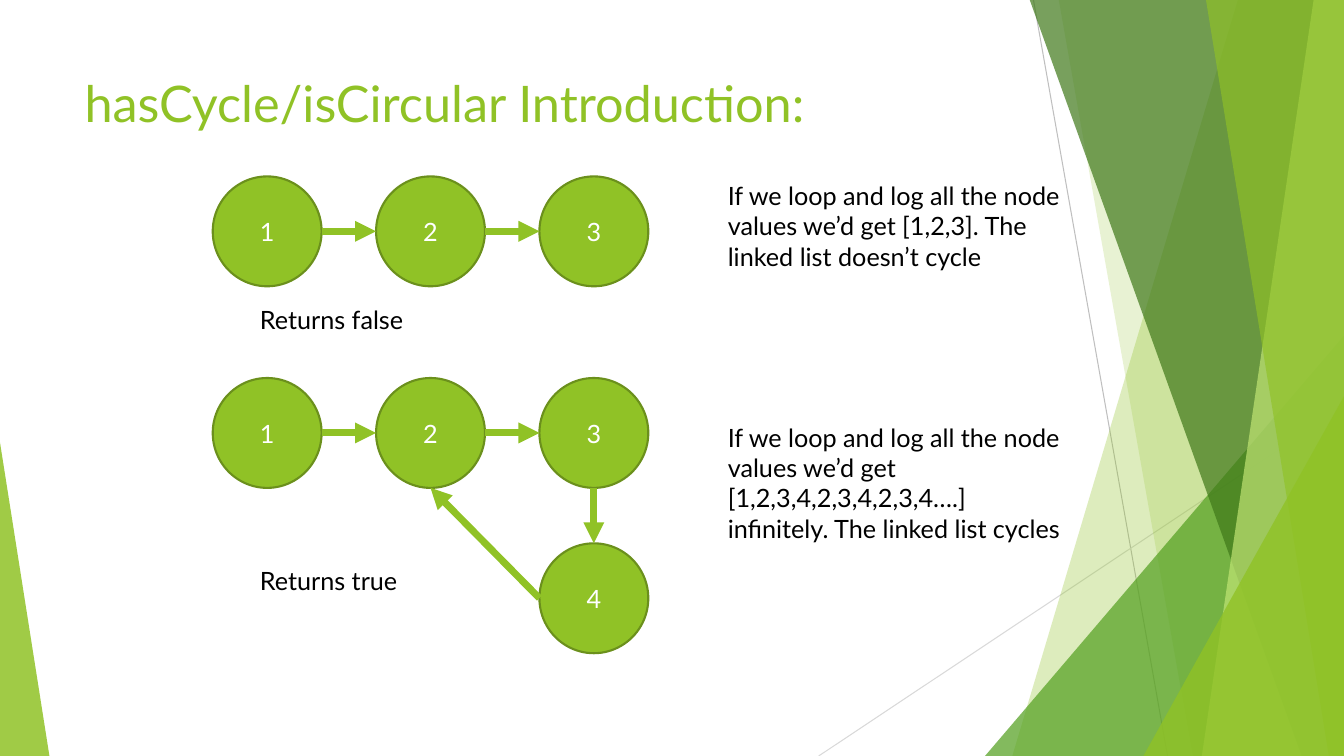
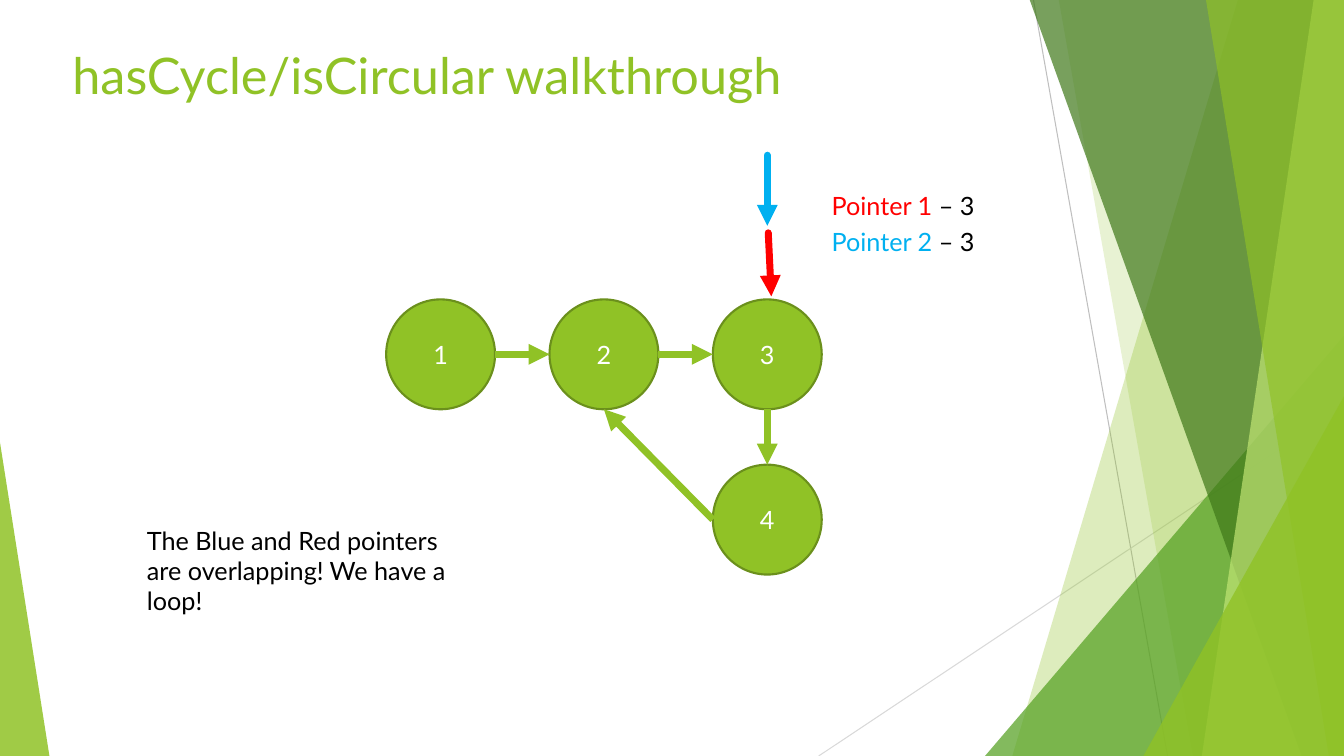
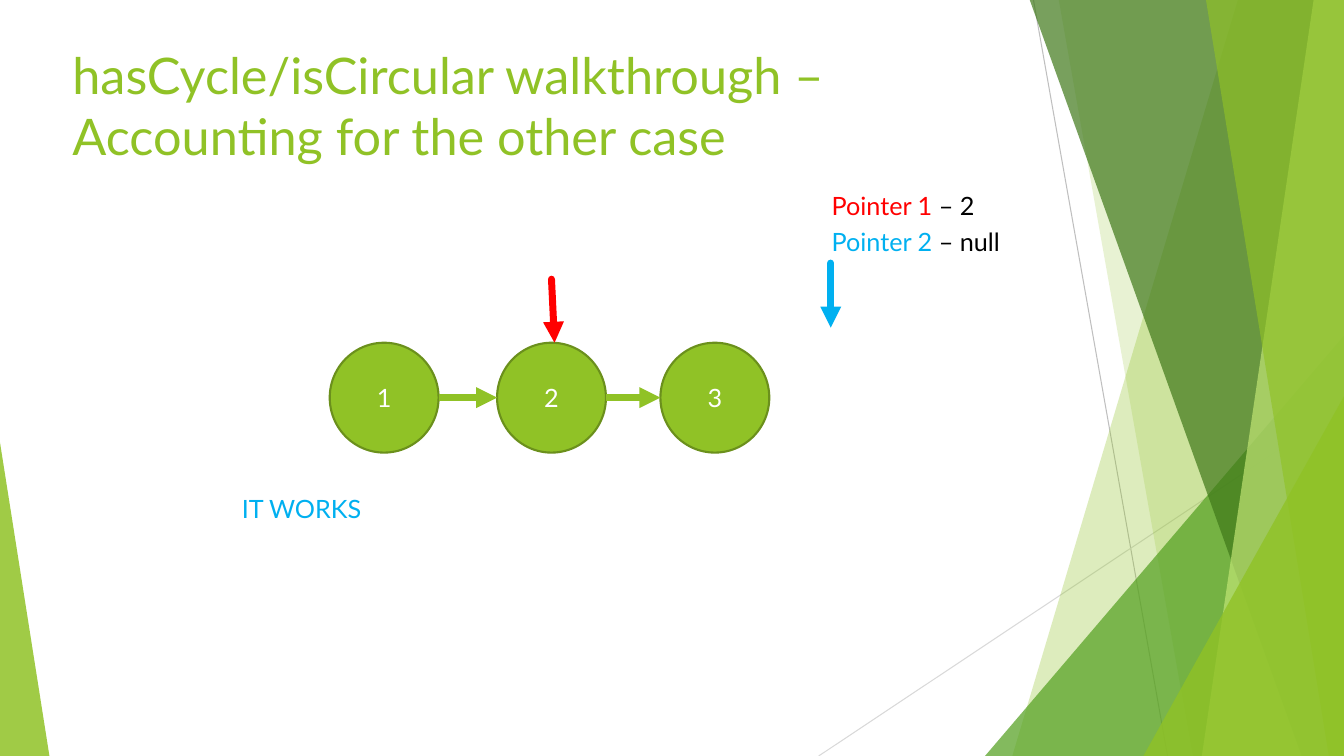
"""Build three slides on detecting a cycle in a linked list."""
from lxml.etree import SubElement
from pptx import Presentation
from pptx.dml.color import RGBColor
from pptx.enum.shapes import MSO_CONNECTOR as CONNECTOR, MSO_SHAPE as SHAPE
from pptx.enum.text import MSO_ANCHOR as ANCHOR, PP_ALIGN as ALIGN
from pptx.oxml.ns import qn
from pptx.util import Inches, Pt

GREEN = RGBColor(0x90, 0xC2, 0x26)
OUTLINE = RGBColor(0x6B, 0x90, 0x1C)
MID_GREEN = RGBColor(0x54, 0xA0, 0x21)
DARK_GREEN = RGBColor(0x3F, 0x78, 0x19)
PALE_GREEN = RGBColor(0xC0, 0xE4, 0x74)
GREY = RGBColor(0xBF, 0xBF, 0xBF)
LIGHT_GREY = RGBColor(0xD9, 0xD9, 0xD9)
RED = RGBColor(0xFF, 0x00, 0x00)
BLUE = RGBColor(0x00, 0xB0, 0xF0)
BLACK = RGBColor(0x00, 0x00, 0x00)
WHITE = RGBColor(0xFF, 0xFF, 0xFF)

WIDTH, HEIGHT, TOP = 13.33, 7.5, -0.01
NODE_W, NODE_H, ROW_STEP = 1.08, 1.09, 1.64

BAND, TRIANGLE = "band", "triangle"
PANELS = [
    (BAND, (12.28, 10.04), GREEN, 30),
    (BAND, (10.5, 11.83), GREEN, 20),
    (TRIANGLE, (9.77, 3.33, 3.56, 1), MID_GREEN, 72),
    (BAND, (10.21, 12.91), DARK_GREEN, 70),
    (BAND, (13.03, 11.92), PALE_GREEN, 70),
    (BAND, (11.96, 13.18), GREEN, 65),
    (TRIANGLE, (11.34, 3.93, 1.99, 1), GREEN, 80),
    (TRIANGLE, (0, 4.39, 0.49, 0), GREEN, 85),
]

SLIDES = [
    {
        "title": ("hasCycle/isCircular Introduction:", 0.74, 0.67),
        "chains": [((2.11, 3.73, 5.35), 3.75, True), ((2.11, 3.73, 5.35), 1.75, False)],
        "pointers": [],
        "notes": [
            (7.12, 4.14, 3.58, 1.62, [("If we loop and log all the node values we’d get [1,2,3,4,2,3,4,2,3,4….] infinitely. The linked list cycles", BLACK)]),
            (2.48, 5.56, 3.58, 0.4, [("Returns true", BLACK)]),
            (7.12, 1.74, 3.58, 1.01, [("If we loop and log all the node values we’d get [1,2,3]. The linked list doesn’t cycle", BLACK)]),
            (2.48, 2.97, 3.58, 0.4, [("Returns false", BLACK)]),
        ],
    },
    {
        "title": ("hasCycle/isCircular walkthrough", 0.62, 0.39),
        "chains": [((3.83, 5.45, 7.07), 2.97, True)],
        "pointers": [(7.62, 2.31, 7.65, 2.94, RED), (7.61, 1.54, 7.61, 2.24, BLUE)],
        "notes": [
            (8.15, 1.84, 2.59, 0.4, [("Pointer 1 ", RED), ("– 3", BLACK)]),
            (8.15, 2.2, 2.59, 0.4, [("Pointer 2 ", BLUE), ("– 3", BLACK)]),
            (1.36, 5.16, 3.36, 1.01, [("The Blue and Red pointers are overlapping! We have a loop!", BLACK)]),
        ],
    },
    {
        "title": ("hasCycle/isCircular walkthrough – Accounting for the other case", 0.62, 0.39),
        "chains": [((3.27, 4.93, 6.55), 3.4, False)],
        "pointers": [(5.47, 2.77, 5.5, 3.4, RED), (8.24, 2.61, 8.24, 3.25, BLUE)],
        "notes": [
            (8.15, 1.84, 2.59, 0.4, [("Pointer 1 ", RED), ("– 2", BLACK)]),
            (8.15, 2.2, 2.59, 0.4, [("Pointer 2 ", BLUE), ("– null", BLACK)]),
            (2.3, 4.84, 3.36, 0.4, [("IT WORKS", BLUE)]),
        ],
    },
]


def write(tf, text, size=18, color=BLACK, align=ALIGN.LEFT):
    p = tf.paragraphs[0]
    p.alignment = align
    r = p.add_run()
    r.text = text
    r.font.name = "Lato"
    r.font.size = Pt(size)
    r.font.color.rgb = color


def add_line(s, x1, y1, x2, y2, color=GREEN, width=5, arrow=True, cap="flat"):
    cxn = s.shapes.add_connector(CONNECTOR.STRAIGHT, Inches(x1), Inches(y1), Inches(x2), Inches(y2))
    cxn.line.color.rgb = color
    cxn.line.width = Pt(width)
    spPr = cxn._element.spPr
    ln = spPr.find(qn("a:ln"))
    ln.set("cap", cap)
    if arrow:
        SubElement(ln, qn("a:tailEnd"), type="triangle")
    SubElement(spPr, qn("a:effectLst"))


prs = Presentation()
prs.slide_width, prs.slide_height = Inches(WIDTH), Inches(HEIGHT)

for content in SLIDES:
    s = prs.slides.add_slide(prs.slide_layouts[6])

    add_line(s, 10.25, 0, 11.58, HEIGHT, color=GREY, width=0.75, arrow=False)
    add_line(s, WIDTH, 4.03, 8.12, HEIGHT, color=LIGHT_GREY, width=0.75, arrow=False)
    for kind, place, color, opacity in PANELS:
        if kind == BAND:
            top_x, bottom_x = place
            outline = s.shapes.build_freeform(Inches(top_x), Inches(TOP))
            corners = [(WIDTH, TOP), (WIDTH, HEIGHT), (bottom_x, HEIGHT)]
            outline.add_line_segments([(Inches(x), Inches(y)) for x, y in corners])
            sp = outline.convert_to_shape()
        else:
            x, y, w, apex = place
            sp = s.shapes.add_shape(SHAPE.ISOSCELES_TRIANGLE, Inches(x), Inches(y), Inches(w), Inches(HEIGHT - y))
            sp.adjustments[0] = apex
        sp.shadow.inherit = False
        sp.line.fill.background()
        sp.fill.solid()
        sp.fill.fore_color.rgb = color
        tint = sp._element.spPr.find(".//" + qn("a:srgbClr"))
        SubElement(tint, qn("a:alpha"), val=str(opacity * 1000))

    for xs, y, cycles in content["chains"]:
        nodes = [(x, y) for x in xs]
        if cycles:
            nodes.append((xs[-1], y + ROW_STEP))
        for number, (left, top) in enumerate(nodes, 1):
            sp = s.shapes.add_shape(SHAPE.OVAL, Inches(left), Inches(top), Inches(NODE_W), Inches(NODE_H))
            sp.shadow.inherit = False
            sp.fill.solid()
            sp.fill.fore_color.rgb = GREEN
            sp.line.color.rgb = OUTLINE
            sp.line.width = Pt(1.5)
            sp.text_frame.vertical_anchor = ANCHOR.MIDDLE
            write(sp.text_frame, str(number), color=WHITE, align=ALIGN.CENTER)
        middle = y + NODE_H / 2
        for x, next_x in zip(xs, xs[1:]):
            add_line(s, x + NODE_W, middle, next_x, middle)
        if cycles:
            center = xs[-1] + NODE_W / 2
            add_line(s, center, y + NODE_H, center, y + ROW_STEP)
            add_line(s, xs[-1], middle + ROW_STEP, xs[1] + NODE_W / 2, y + NODE_H)

    for x1, y1, x2, y2, color in content["pointers"]:
        add_line(s, x1, y1, x2, y2, color=color, cap="rnd")

    title, x, y = content["title"]
    boxes = [(x, y, 9.4, 1.44, [(title, GREEN)], 36)]
    boxes += [(*note, 18) for note in content["notes"]]
    for x, y, w, h, runs, size in boxes:
        tf = s.shapes.add_textbox(Inches(x), Inches(y), Inches(w), Inches(h)).text_frame
        tf.word_wrap = True
        for text, color in runs:
            write(tf, text, size=size, color=color)

prs.save("out.pptx")
